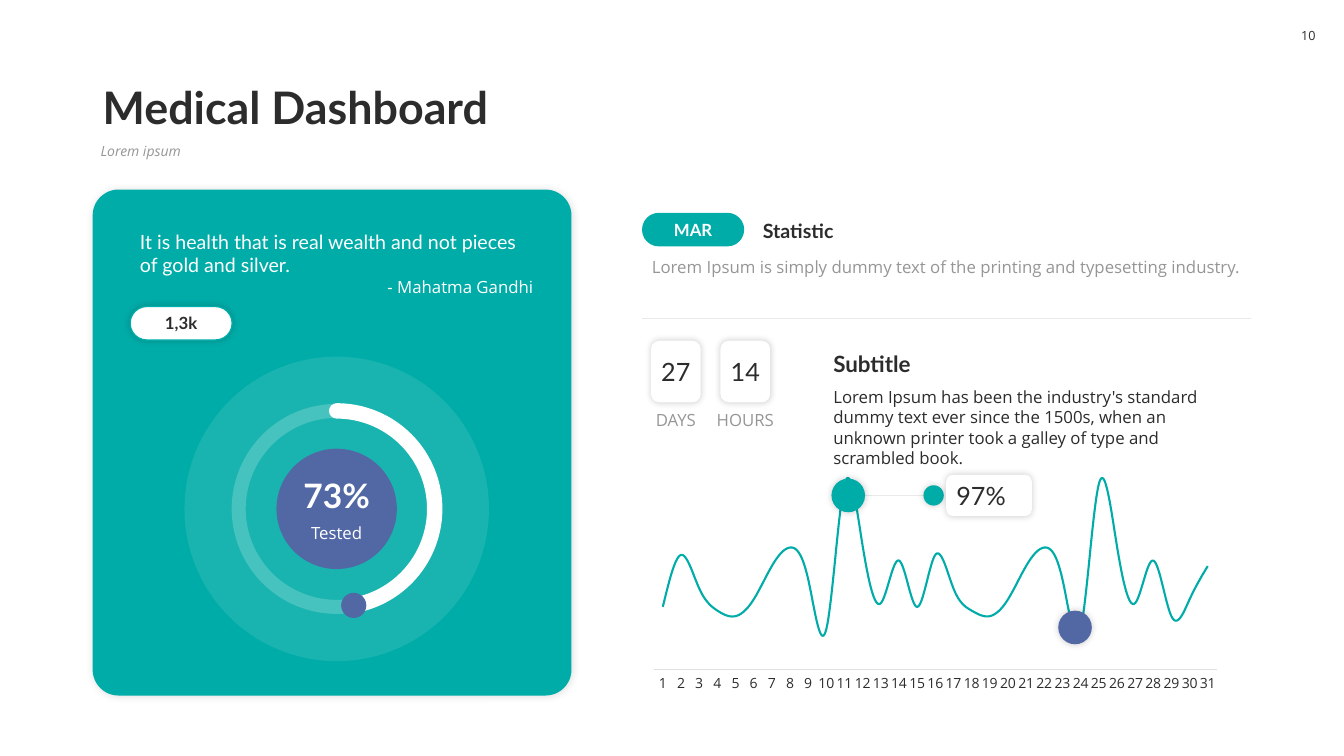
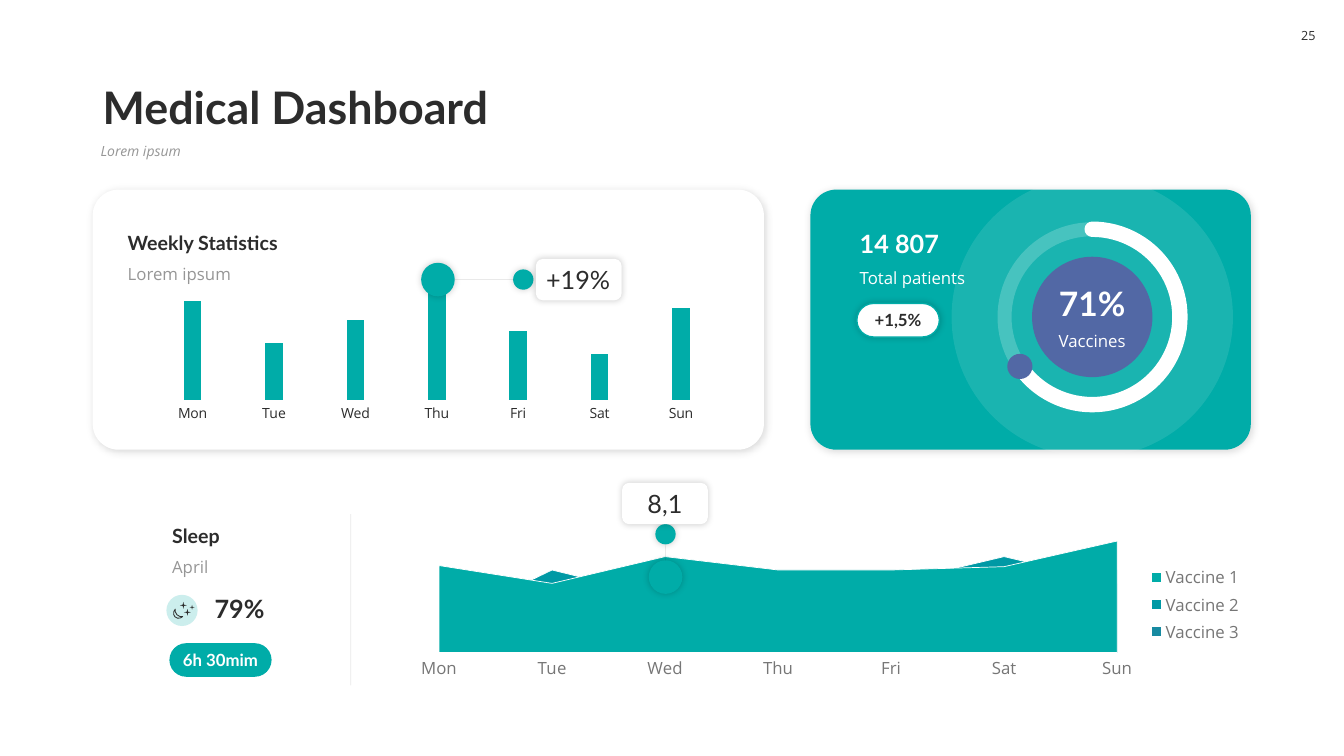
from dataclasses import dataclass, field
from math import cos, radians, sin

from lxml import etree
from pptx import Presentation
from pptx.chart.data import CategoryChartData
from pptx.dml.color import RGBColor
from pptx.enum.chart import XL_CHART_TYPE, XL_LEGEND_POSITION, XL_TICK_MARK
from pptx.enum.shapes import MSO_CONNECTOR, MSO_SHAPE
from pptx.enum.text import MSO_ANCHOR, MSO_AUTO_SIZE, PP_ALIGN
from pptx.oxml import parse_xml
from pptx.oxml.ns import nsdecls, qn
from pptx.util import Pt

LEFT, CENTER, RIGHT = PP_ALIGN.LEFT, PP_ALIGN.CENTER, PP_ALIGN.RIGHT
TOP, MIDDLE, BOTTOM = MSO_ANCHOR.TOP, MSO_ANCHOR.MIDDLE, MSO_ANCHOR.BOTTOM
ROUNDED, OVAL, ARC = MSO_SHAPE.ROUNDED_RECTANGLE, MSO_SHAPE.OVAL, MSO_SHAPE.ARC
MOON, STAR = MSO_SHAPE.MOON, MSO_SHAPE.STAR_4_POINT
LINE, COLUMN, AREA = XL_CHART_TYPE.LINE, XL_CHART_TYPE.COLUMN_CLUSTERED, XL_CHART_TYPE.AREA
WEEKDAYS = ("Mon", "Tue", "Wed", "Thu", "Fri", "Sat", "Sun")


def text_style(size, color, name="Lato", **extra):
    return {"size": Pt(size), "name": name, "color": color, **extra}


@dataclass(frozen=True)
class Theme:
    teal: str = "00ACA8"
    sea: str = "0099A5"
    ocean: str = "178AA1"
    indigo: str = "5268A5"
    dark: str = "2C2C2C"
    gray: str = "969696"
    axis_gray: str = "767676"
    axis_line: str = "DFDFDF"
    white: str = "FFFFFF"
    card_shadow: tuple = (15, 6, 1)
    soft_shadow: tuple = (20, 5, 0)
    styles: dict = field(default_factory=dict)

    def __post_init__(self):
        body = "Open Sans"
        self.styles.update({
            "title": text_style(32, self.dark, bold=True),
            "subtitle": text_style(10, self.gray, body, italic=True),
            "page": text_style(9, self.dark, body),
            "heading": text_style(14, self.dark, bold=True),
            "large heading": text_style(16, self.dark, bold=True),
            "figure": text_style(18, self.dark, bold=True),
            "white figure": text_style(18, self.white, bold=True),
            "percent": text_style(24, self.white, bold=True),
            "number": text_style(18, self.dark),
            "quote": text_style(14, self.white),
            "white body": text_style(12, self.white, body),
            "body": text_style(12, self.dark, body),
            "muted": text_style(12, self.gray, body),
            "pill": text_style(12, self.dark, bold=True),
            "white pill": text_style(12, self.white, bold=True),
            "axis": text_style(10, self.dark, body),
            "axis muted": text_style(12, self.axis_gray, body),
        })


THEME = Theme()


def points(*lengths):
    return [Pt(length) for length in lengths]


def format_font(font, style):
    for name, value in THEME.styles[style].items():
        if name == "color":
            font.color.rgb = RGBColor.from_string(value)
        else:
            setattr(font, name, value)


def fill_solid(fill, color):
    fill.solid()
    fill.fore_color.rgb = RGBColor.from_string(color)


def set_line(line, color, width):
    fill_solid(line.fill, color)
    line.width = Pt(width)


def set_alpha(shape, parent, percent):
    color = shape._element.xpath(f"./p:spPr/{parent}/a:srgbClr")[0]
    etree.SubElement(color, qn("a:alpha"), val=str(percent * 1000))


def add_shadow(shape, shadow):
    alpha, blur, distance = shadow
    effects = shape._element.spPr.find(qn("a:effectLst"))
    effects.append(parse_xml(
        f'<a:outerShdw {nsdecls("a")} blurRad="{Pt(blur)}" dist="{Pt(distance)}" '
        f'dir="2700000" algn="tl" rotWithShape="0"><a:srgbClr val="000000">'
        f'<a:alpha val="{alpha * 1000}"/></a:srgbClr></a:outerShdw>'))


def write(shape, lines, style, align=LEFT, anchor=TOP, insets=(7.2, 3.6), spacing=None):
    frame = shape.text_frame
    horizontal, vertical = points(*insets)
    settings = {
        "auto_size": MSO_AUTO_SIZE.NONE, "word_wrap": True, "vertical_anchor": anchor,
        "margin_left": horizontal, "margin_right": horizontal,
        "margin_top": vertical, "margin_bottom": vertical,
    }
    for name, value in settings.items():
        setattr(frame, name, value)
    entries = [(lines, style, align)] if isinstance(lines, str) else lines
    for index, (text, line_style, line_align) in enumerate(entries):
        paragraph = frame.add_paragraph() if index else frame.paragraphs[0]
        paragraph.alignment = line_align
        if spacing:
            paragraph.line_spacing = spacing
        run = paragraph.add_run()
        run.text = text
        format_font(run.font, line_style)


def add_text(slide, box, lines, style=None, **options):
    write(slide.shapes.add_textbox(*points(*box)), lines, style, **options)


def add_shape(slide, kind, box, fill=None, alpha=None, line=None, shadow=None, adjustments=()):
    shape = slide.shapes.add_shape(kind, *points(*box))
    shape.shadow.inherit = False
    if fill:
        fill_solid(shape.fill, fill)
    else:
        shape.fill.background()
    if line:
        set_line(shape.line, *line)
    else:
        shape.line.fill.background()
    if alpha:
        set_alpha(shape, "a:solidFill" if fill else "a:ln/a:solidFill", alpha)
    if shadow:
        add_shadow(shape, shadow)
    for index, value in enumerate(adjustments):
        shape.adjustments[index] = value
    return shape


def add_circle(slide, x, y, diameter, **options):
    box = (x - diameter / 2, y - diameter / 2, diameter, diameter)
    return add_shape(slide, OVAL, box, **options)


def add_rule(slide, *ends):
    rule = slide.shapes.add_connector(MSO_CONNECTOR.STRAIGHT, *points(*ends))
    set_line(rule.line, THEME.dark, 0.5)
    set_alpha(rule, "a:ln/a:solidFill", 10)
    etree.SubElement(rule._element.spPr, qn("a:effectLst"))


def add_card(slide, box, fill, radius):
    add_shape(slide, ROUNDED, box, fill=fill, shadow=THEME.card_shadow, adjustments=[radius])


def add_pill(slide, x, y, text, width=73, raised=False):
    look = {"fill": THEME.teal}
    if raised:
        look = {"fill": THEME.white, "line": (THEME.teal, 1), "shadow": THEME.soft_shadow}
    pill = add_shape(slide, ROUNDED, (x, y, width, 24), adjustments=[0.5], **look)
    write(pill, text, "pill" if raised else "white pill", CENTER, MIDDLE, (0, 0))


def add_tile(slide, box, text, align=CENTER, inset=0):
    tile = add_shape(slide, ROUNDED, box, fill=THEME.white, shadow=THEME.soft_shadow)
    write(tile, text, "number", align, MIDDLE, (inset, 3.6))


def add_marker(slide, x, y, diameter=24, color=THEME.teal):
    add_circle(slide, x, y, diameter, fill=color, shadow=THEME.soft_shadow)


def add_callout(slide, x, y, text):
    add_marker(slide, x, y)
    add_rule(slide, x + 12, y, x + 56, y)
    add_marker(slide, x + 61, y, 14.5)
    add_tile(slide, (x + 70, y - 14.75, 61.2, 29.5), text, LEFT, 5.8)


def add_gauge(slide, x, y, halo, ring, end_angle, value, label):
    add_circle(slide, x, y, halo, fill=THEME.white, alpha=10)
    add_circle(slide, x, y, 86, fill=THEME.indigo)
    add_circle(slide, x, y, ring, line=(THEME.white, 10), alpha=20)
    arc = add_shape(slide, ARC, (x - ring / 2, y - ring / 2, ring, ring),
                    line=(THEME.white, 11), adjustments=[270 * 0.6, end_angle * 0.6])
    arc._element.spPr.find(qn("a:ln")).set("cap", "rnd")
    tip = radians(end_angle + 5)
    add_circle(slide, x + ring / 2 * cos(tip), y + ring / 2 * sin(tip), 18, fill=THEME.indigo)
    add_text(slide, (x - 43, y - 28, 86, 36), value, "percent", align=CENTER, anchor=BOTTOM)
    add_text(slide, (x - 43, y + 6, 86, 21.6), label, "white body", align=CENTER)


def add_countdown(slide, x, number, unit):
    add_tile(slide, (x - 17.75, 243.4, 35.5, 44), number)
    add_text(slide, (x - 25, 289.4, 50, 21.6), unit, "muted", align=CENTER, insets=(2, 3.6))


def add_chart(slide, kind, box, categories, series, maximum, layout, axis_style="axis", axis_line=True):
    data = CategoryChartData()
    data.categories = categories
    for name, values, _ in series:
        data.add_series(name, values)
    chart = slide.shapes.add_chart(kind, *points(*box), data).chart
    chart.has_title = False
    chart.has_legend = len(series) > 1
    format_font(chart.font, axis_style)
    value_axis, category_axis = chart.value_axis, chart.category_axis
    settings = {"visible": False, "has_major_gridlines": False,
                "minimum_scale": 0, "maximum_scale": maximum}
    for name, value in settings.items():
        setattr(value_axis, name, value)
    category_axis.major_tick_mark = XL_TICK_MARK.NONE
    category_axis.has_major_gridlines = False
    format_font(category_axis.tick_labels.font, axis_style)
    if axis_line:
        set_line(category_axis.format.line, THEME.axis_line, 0.75)
    else:
        category_axis.format.line.fill.background()
    chart.plots[0].vary_by_categories = False
    for item, (_, _, color) in zip(chart.plots[0].series, series):
        if kind == LINE:
            item.smooth = True
            set_line(item.format.line, color, 1.5)
        else:
            fill_solid(item.format.fill, color)
        if kind == AREA:
            set_line(item.format.line, THEME.white, 0.5)
    set_plot_layout(chart, layout)
    return chart


def set_plot_layout(chart, layout):
    area = chart._chartSpace.xpath("./c:chart/c:plotArea")[0]
    for old in area.findall(qn("c:layout")):
        area.remove(old)
    sizes = "".join(f'<c:{name} val="{value}"/>' for name, value in zip("xywh", layout))
    area.insert(0, parse_xml(
        f'<c:layout {nsdecls("c")}><c:manualLayout><c:layoutTarget val="inner"/>'
        f'<c:xMode val="edge"/><c:yMode val="edge"/>{sizes}</c:manualLayout></c:layout>'))


def add_page(presentation, number):
    slide = presentation.slides.add_slide(presentation.slide_layouts[5])
    title = slide.shapes.title
    for name, value in zip(("left", "top", "width", "height"), points(66.2, 41.8, 828, 57.6)):
        setattr(title, name, value)
    write(title, "Medical Dashboard", "title", anchor=BOTTOM, spacing=0.9)
    add_text(slide, (64.8, 99.4, 829, 26), "Lorem ipsum", "subtitle", spacing=0.9)
    add_text(slide, (921.6, 13, 26, 25), number, "page", align=CENTER, anchor=MIDDLE, insets=(0, 3.6))
    return slide


def build_statistic_slide(presentation):
    slide = add_page(presentation, "10")
    add_card(slide, (66.2, 135.4, 342, 361.4), THEME.teal, 0.054)
    add_text(slide, (92.9, 160.6, 295.2, 55.4), [
        ("It is health that is real wealth and not pieces of gold and silver.", "quote", LEFT),
        ("- Mahatma Gandhi", "white body", RIGHT)])
    add_pill(slide, 92.9, 218.9, "1,3k", raised=True)
    add_gauge(slide, 240.5, 363.5, 217.5, 140, 75, "73%", "Tested")
    add_pill(slide, 458.6, 152, "MAR")
    add_text(slide, (537.8, 152, 355.7, 24.5), "Statistic", "heading", anchor=BOTTOM)
    add_text(slide, (458.6, 180, 440, 21.6),
             "Lorem Ipsum is simply dummy text of the printing and typesetting industry.", "muted")
    add_rule(slide, 458.6, 227.5, 893.5, 227.5)
    month = (34, 62, 44, 32, 29, 38, 56, 66, 49, 22, 100, 67, 36, 59, 34, 62,
             44, 32, 29, 38, 56, 66, 49, 22, 100, 67, 36, 59, 29, 38, 56)
    add_chart(slide, LINE, (458.6, 320.4, 419, 177.8), [str(day) for day in range(1, 32)],
              [("Series 1", month, THEME.teal)], 110, (0.02, 0.07, 0.96, 0.82))
    add_countdown(slide, 482.8, "27", "DAYS")
    add_countdown(slide, 532.4, "14", "HOURS")
    add_text(slide, (588.2, 246.2, 306.7, 26.6), "Subtitle", "large heading", anchor=BOTTOM)
    add_text(slide, (588.2, 272.9, 306.7, 65),
             "Lorem Ipsum has been the industry's standard dummy text ever since the 1500s, "
             "when an unknown printer took a galley of type and scrambled book.", "body")
    add_callout(slide, 605.9, 353.9, "97%")
    add_marker(slide, 767.9, 448.2, color=THEME.indigo)


def add_sleep_panel(slide):
    add_text(slide, (115.9, 370, 119.5, 24.5), "Sleep", "heading", anchor=BOTTOM)
    add_text(slide, (115.9, 393.8, 119.5, 21.6), "April", "muted")
    add_circle(slide, 130, 436, 22.3, fill=THEME.teal, alpha=20)
    moon = add_shape(slide, MOON, (124.4, 435.4, 4, 7.5), line=(THEME.dark, 0.6))
    moon.rotation = -45
    for x, y, size in ((137.2, 433.8, 3.6), (131, 432.4, 5), (133.9, 437.4, 5)):
        add_shape(slide, STAR, (x - size / 2, y - size / 2, size, size), fill=THEME.dark)
    add_text(slide, (146.2, 420.5, 89.3, 28.8), "79%", "figure", anchor=BOTTOM)
    add_pill(slide, 121, 459.4, "6h 30mim")
    add_rule(slide, 250.6, 489.6, 250.6, 367.2)


def build_weekly_slide(presentation):
    slide = add_page(presentation, "25")
    add_card(slide, (66.2, 135.4, 479.5, 185.8), THEME.white, 0.1)
    chart = add_chart(slide, COLUMN, (100, 185, 424, 120.2), WEEKDAYS,
                      [("Series 1", (86, 50, 70, 100, 60, 40, 80), THEME.teal)],
                      120, (0.02, 0.02, 0.96, 0.82), axis_line=False)
    chart.plots[0].gap_width = 360
    chart.plots[0].overlap = -30
    add_text(slide, (84.2, 160.6, 144, 24.5), "Weekly Statistics", "heading", anchor=BOTTOM)
    add_text(slide, (84.2, 185, 144, 21.6), "Lorem ipsum", "muted")
    add_callout(slide, 312.8, 199.7, "+19%")

    add_card(slide, (578.9, 135.4, 314.6, 185.8), THEME.teal, 0.1)
    add_gauge(slide, 780.2, 226.4, 201, 125.3, 140.65, "71%", "Vaccines")
    add_text(slide, (607, 159.8, 134, 28.8), "14 807", "white figure", anchor=BOTTOM)
    add_text(slide, (607, 188, 134, 21.6), "Total patients", "white body")
    add_pill(slide, 612, 216.7, "+1,5%", width=59, raised=True)

    add_sleep_panel(slide)
    vaccines = [("Vaccine 1", (78, 62, 86, 74, 74, 77, 100), THEME.teal),
                ("Vaccine 2", (25, 74, 49, 37, 62, 86, 62), THEME.sea),
                ("Vaccine 3", (37, 49, 25, 25, 49, 62, 74), THEME.ocean)]
    chart = add_chart(slide, AREA, (289.4, 375.1, 605.5, 113.8), WEEKDAYS, vaccines,
                      100, (0.04, 0.1, 0.8, 0.7), axis_style="axis muted")
    for crossing in chart._chartSpace.xpath(".//c:valAx/c:crossBetween"):
        crossing.set("val", "midCat")
    chart.legend.position = XL_LEGEND_POSITION.RIGHT
    chart.legend.include_in_layout = False
    format_font(chart.legend.font, "axis muted")
    add_marker(slide, 475.4, 412.2)
    add_rule(slide, 475.4, 389.5, 475.4, 400.3)
    add_marker(slide, 475.4, 381.6, 14.5)
    add_tile(slide, (444.4, 344.9, 61.2, 29.5), "8,1")


def main():
    presentation = Presentation()
    presentation.slide_width, presentation.slide_height = points(960, 540)
    build_statistic_slide(presentation)
    build_weekly_slide(presentation)
    presentation.save("out.pptx")


if __name__ == "__main__":
    main()
